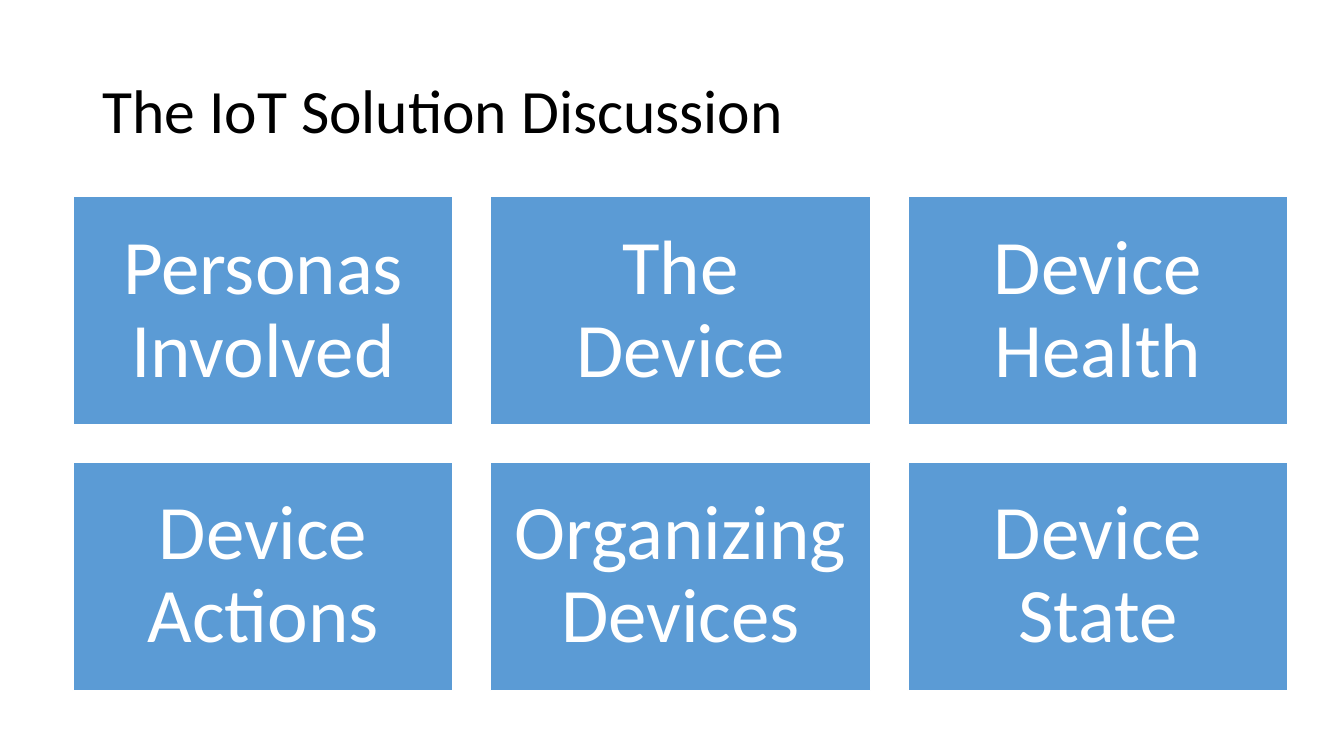
import pptx
import pptx.util
import pptx.dml.color
import pptx.enum.shapes
import pptx.enum.text
from dataclasses import dataclass

Cm, Pt = pptx.util.Cm, pptx.util.Pt
RGB = pptx.dml.color.RGBColor.from_string


@dataclass(frozen=True)
class Theme:
    font: str = "Calibri"
    title_color: str = "000000"
    tile_fill: str = "5B9BD5"
    tile_text: str = "FFFFFF"
    tile_line: str = "FFFFFF"
    title_size: int = 44
    tile_size: int = 55


theme = Theme()


def write(shape, text, size, color, alignment):
    """Put one vertically centred, wrapping paragraph into the shape."""
    frame = shape.text_frame
    frame.word_wrap = True
    frame.vertical_anchor = pptx.enum.text.MSO_ANCHOR.MIDDLE
    paragraph = frame.paragraphs[0]
    paragraph.text = text
    paragraph.alignment = alignment
    paragraph.line_spacing = 0.9
    paragraph.font.name = theme.font
    paragraph.font.size = Pt(size)
    paragraph.font.color.rgb = RGB(color)


presentation = pptx.Presentation()
presentation.slide_width = Cm(33.87)
presentation.slide_height = Cm(19.05)
slide = presentation.slides.add_slide(presentation.slide_layouts[6])

title = slide.shapes.add_textbox(Cm(2.33), Cm(1.01), Cm(29.21), Cm(3.68))
write(title, "The IoT Solution Discussion", theme.title_size,
      theme.title_color, pptx.enum.text.PP_ALIGN.LEFT)

topics = [
    ["Personas Involved", "The Device", "Device Health"],
    ["Device Actions", "Organizing Devices", "Device State"],
]
grid_left, grid_top = 1.84, 4.96
tile_width, tile_height = 9.58, 5.75
gap = 0.94
inset = Cm(0.55)

for row, row_topics in enumerate(topics):
    for column, topic in enumerate(row_topics):
        tile = slide.shapes.add_shape(
            pptx.enum.shapes.MSO_SHAPE.RECTANGLE,
            Cm(grid_left + column * (tile_width + gap)),
            Cm(grid_top + row * (tile_height + gap)),
            Cm(tile_width), Cm(tile_height))
        tile.shadow.inherit = False
        tile.fill.solid()
        tile.fill.fore_color.rgb = RGB(theme.tile_fill)
        tile.line.color.rgb = RGB(theme.tile_line)
        tile.line.width = Pt(1)
        frame = tile.text_frame
        frame.margin_left = frame.margin_right = inset
        frame.margin_top = frame.margin_bottom = inset
        write(tile, topic, theme.tile_size, theme.tile_text,
              pptx.enum.text.PP_ALIGN.CENTER)

presentation.save("out.pptx")
